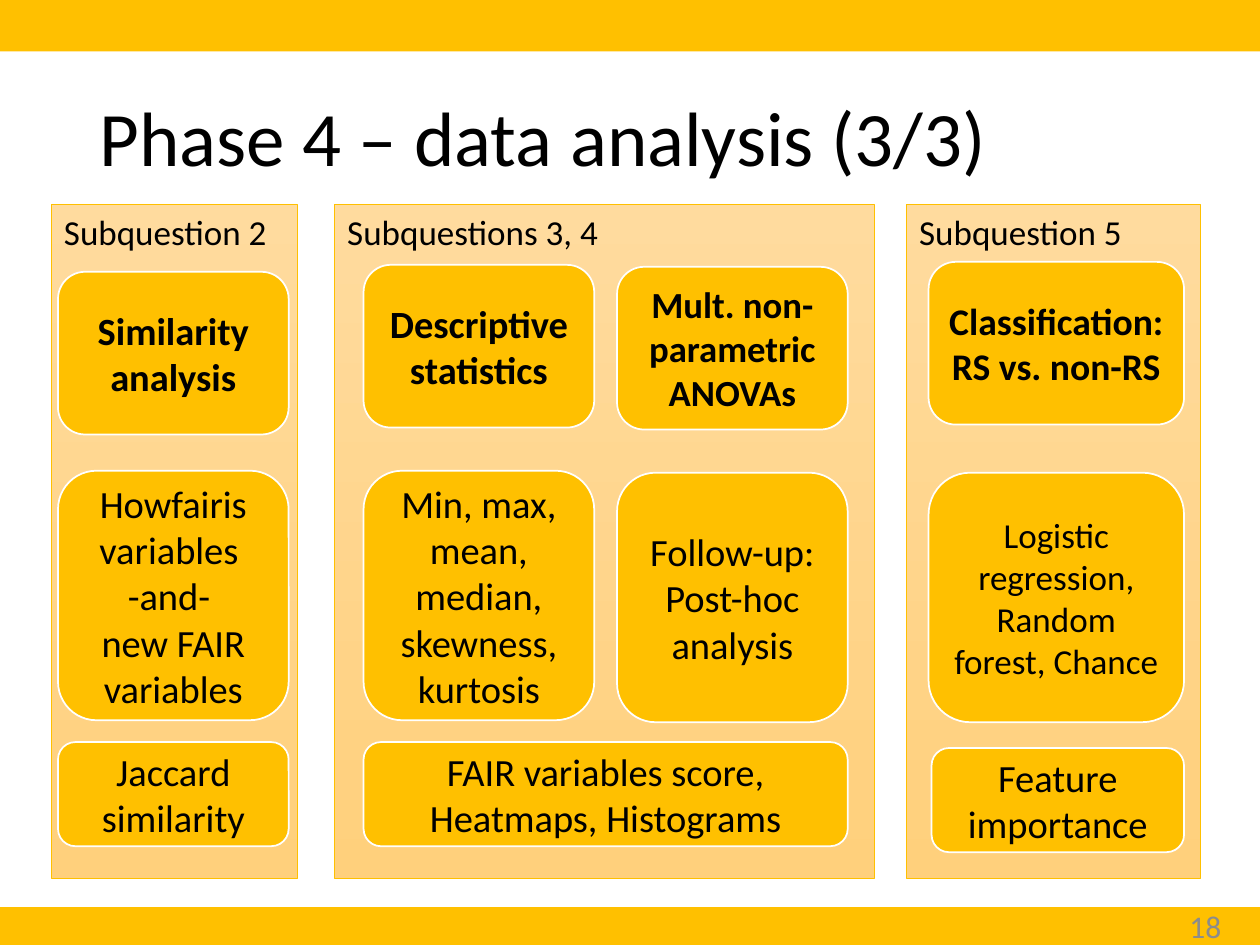
from pptx import Presentation
from pptx.dml.color import RGBColor
from pptx.enum.shapes import MSO_SHAPE
from pptx.enum.text import MSO_ANCHOR, PP_ALIGN
from pptx.util import Cm, Pt

RECTANGLE = MSO_SHAPE.RECTANGLE
ROUNDED = MSO_SHAPE.ROUNDED_RECTANGLE
TOP, MIDDLE = MSO_ANCHOR.TOP, MSO_ANCHOR.MIDDLE
LEFT, CENTER, RIGHT = PP_ALIGN.LEFT, PP_ALIGN.CENTER, PP_ALIGN.RIGHT

AMBER = RGBColor(0xFF, 0xC0, 0x00)
PANEL_LIGHT = RGBColor(0xFF, 0xDB, 0x9E)
PANEL_DARK = RGBColor(0xFF, 0xD0, 0x7C)
WHITE = RGBColor(0xFF, 0xFF, 0xFF)
BLACK = RGBColor(0x00, 0x00, 0x00)
GRAY = RGBColor(0x8C, 0x8C, 0x8C)

presentation = Presentation()
presentation.slide_width = Cm(25.4)
presentation.slide_height = Cm(19.05)
slide = presentation.slides.add_slide(presentation.slide_layouts[5])


def add_box(kind, left, top, width, height):
    shape = slide.shapes.add_shape(kind, Cm(left), Cm(top), Cm(width), Cm(height))
    shape.shadow.inherit = False
    shape.fill.solid()
    shape.fill.fore_color.rgb = AMBER
    return shape


def write_text(shape, text, size, alignment, anchor, color=BLACK, bold=False):
    text_frame = shape.text_frame
    text_frame.text = text
    text_frame.word_wrap = True
    text_frame.vertical_anchor = anchor
    for paragraph in text_frame.paragraphs:
        paragraph.alignment = alignment
        for run in paragraph.runs:
            run.font.name = "Calibri"
            run.font.size = Pt(size)
            run.font.bold = bold
            run.font.color.rgb = color


for top, height in [(0, 1.04), (18.29, 0.78)]:
    band = add_box(RECTANGLE, 0, top, 25.4, height)
    band.line.fill.background()

title = slide.shapes.title
title.left, title.top, title.width, title.height = Cm(1.75), Cm(1.02), Cm(21.9), Cm(3.68)
write_text(title, "Phase 4 – data analysis (3/3)", 44, LEFT, MIDDLE)
title.text_frame.paragraphs[0].line_spacing = 0.9

PANELS = [
    ("Subquestion 2", 1.04, 4.95),
    ("Subquestions 3, 4", 6.75, 10.88),
    ("Subquestion 5", 18.28, 5.92),
]
for heading, left, width in PANELS:
    panel = add_box(RECTANGLE, left, 4.12, width, 13.6)
    panel.fill.gradient()
    panel.fill.gradient_angle = 270
    for stop, color in zip(panel.fill.gradient_stops, (PANEL_LIGHT, PANEL_DARK)):
        stop.color.rgb = color
    panel.line.color.rgb = AMBER
    panel.line.width = Pt(0.5)
    write_text(panel, heading, 20, LEFT, TOP)

METHOD_HEIGHT, DETAIL_HEIGHT, RESULT_HEIGHT = 3.28, 5.03, 2.1
CARDS = [
    ("Similarity analysis", 1.17, 5.48, 4.65, METHOD_HEIGHT, 22),
    ("Descriptive statistics", 7.33, 5.34, 4.65, METHOD_HEIGHT, 22),
    ("Mult. non-parametric ANOVAs", 12.44, 5.38, 4.65, METHOD_HEIGHT, 21),
    ("Classification: RS vs. non-RS", 18.72, 5.28, 5.15, METHOD_HEIGHT, 21.5),
    ("Howfairis variables \n-and- \nnew FAIR variables", 1.17, 9.49, 4.65, DETAIL_HEIGHT, 22),
    ("Min, max, mean, median, skewness, kurtosis", 7.33, 9.49, 4.65, DETAIL_HEIGHT, 22),
    ("Follow-up:\nPost-hoc analysis", 12.44, 9.53, 4.65, DETAIL_HEIGHT, 22),
    ("Logistic regression,\nRandom forest, Chance", 18.72, 9.53, 5.15, DETAIL_HEIGHT, 20),
    ("Jaccard similarity", 1.17, 14.96, 4.65, RESULT_HEIGHT, 22),
    ("FAIR variables score,\nHeatmaps, Histograms", 7.33, 14.96, 9.76, RESULT_HEIGHT, 22),
    ("Feature importance", 18.78, 15.08, 5.09, RESULT_HEIGHT, 22),
]
for text, left, top, width, height, size in CARDS:
    card = add_box(ROUNDED, left, top, width, height)
    card.line.color.rgb = WHITE
    card.line.width = Pt(1)
    text_frame = card.text_frame
    text_frame.margin_left = text_frame.margin_right = Cm(0.25)
    text_frame.margin_top = text_frame.margin_bottom = Cm(0.25)
    write_text(card, text, size, CENTER, MIDDLE, bold=height == METHOD_HEIGHT)

page_number = slide.shapes.add_textbox(Cm(19.15), Cm(18.16), Cm(5.72), Cm(1.02))
write_text(page_number, "18", 18, RIGHT, MIDDLE, GRAY)

presentation.save("out.pptx")
